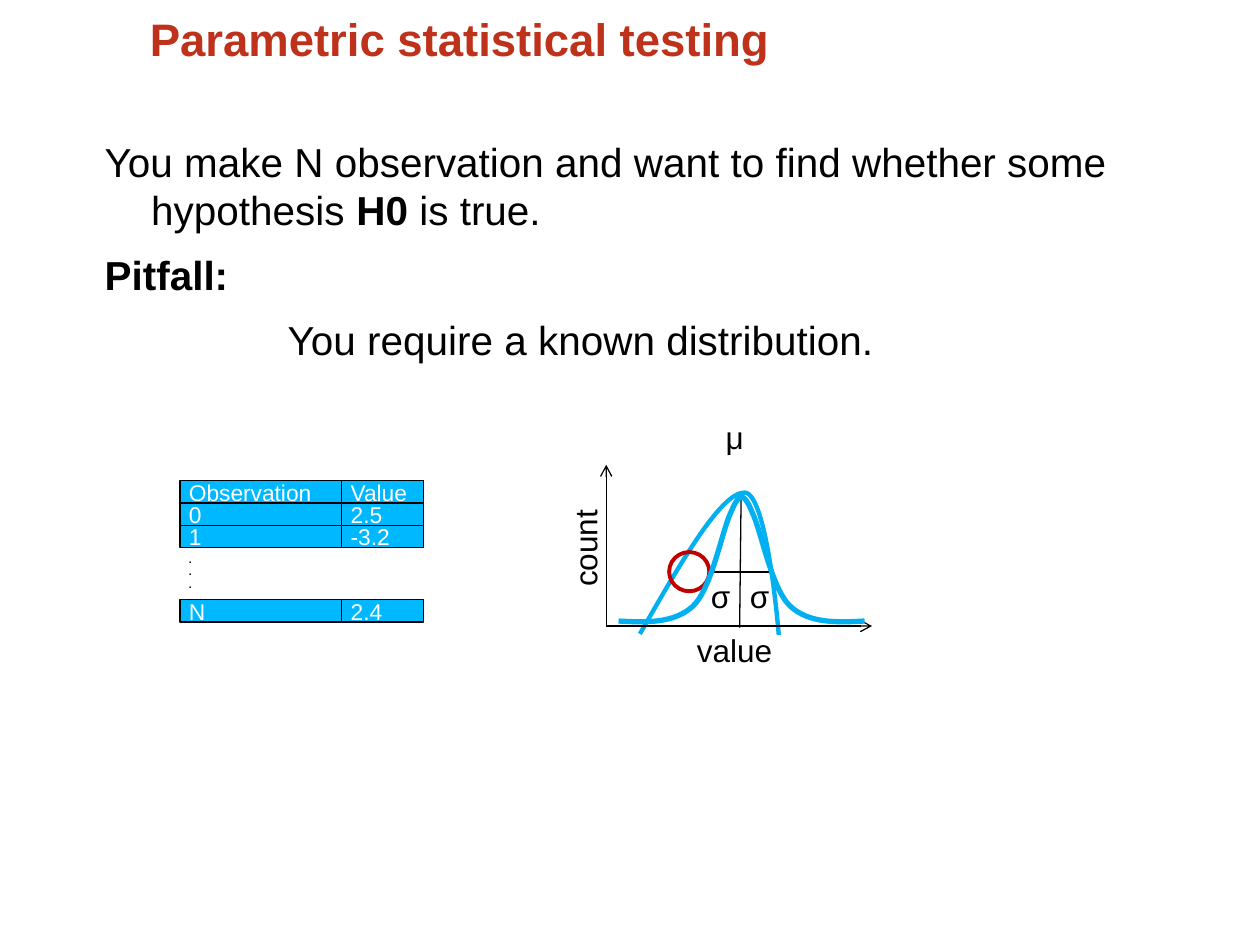
import pptx
import pptx.dml.color
import pptx.enum.shapes
import pptx.enum.text
import pptx.oxml
import pptx.oxml.ns
import pptx.util
from pptx.util import Cm

COLORS = {"title": "BE311A", "text": "000000", "cell": "00B8FF", "cell_text": "FFFFFF",
          "curve": "00B0F0", "circle": "C00000"}
FONT = "Arial"

TITLE = [[("Parametric statistical testing", True)]]
BODY = [
    [("You make N observation and want to find whether some hypothesis ", False),
     ("H0 ", True), ("is true.", False)],
    [("Pitfall:", True)],
    [("You require a known distribution.", False)],
]
BODY_INDENTS = [(0.94, -0.94), (0.94, -0.94), (3.69, 0)]

DOTS = [[(".", True)]] * 3
OBSERVATIONS = [("Observation", "Value"), ("0", "2.5"), ("1", "-3.2"), DOTS, ("N", "2.4")]
GRID_LEFT, GRID_TOP = 3.63, 9.69
COLUMN_WIDTHS = [3.26, 1.65]
ROW_HEIGHT, DOTS_HEIGHT = 0.45, 1.05

LABELS = [
    ("count", 10.78, 10.54, 2, 270),
    ("value", 13.87, 12.62, 1.88, 0),
    ("μ", 14.45, 8.33, 0.74, 0),
    ("σ", 14.94, 11.53, 0.76, 0),
    ("σ", 14.15, 11.53, 0.76, 0),
]
LABEL_HEIGHT = 0.94
MARGINS = (0.18, 0.1)
LINES = [
    ((12.22, 12.62), (17.58, 12.62), True),
    ((12.22, 12.62), (12.22, 9.37), True),
    ((14.94, 9.98), (14.91, 12.65), False),
    ((15.54, 11.53), (14.91, 11.53), False),
    ((14.94, 11.53), (14.3, 11.53), False),
]
SKEWED_CURVE = [(12.9, 12.78), (13.72, 11.35), (14.53, 9.93), (15.01, 9.93),
                (15.47, 9.93), (15.7, 12.8), (15.7, 12.8)]
BELL_LEFT = [(12.47, 12.52), (13.03, 12.55), (13.59, 12.57), (13.97, 12.22), (14.35, 11.86),
             (14.55, 10.72), (14.73, 10.34), (14.88, 9.98), (14.94, 10.01), (14.99, 10.03)]
BELL_AXIS = 14.95
BELL_RIGHT = [(round(2 * BELL_AXIS - x, 2), y) for x, y in BELL_LEFT]


def rgb(name):
    return pptx.dml.color.RGBColor.from_string(COLORS[name])


def apply_format(target, formats):
    for name, value in formats.items():
        setattr(target, name, value)


def set_frame(frame, margins, wrap):
    horizontal, vertical = map(Cm, margins)
    apply_format(frame, {"margin_left": horizontal, "margin_right": horizontal,
                         "margin_top": vertical, "margin_bottom": vertical, "word_wrap": wrap,
                         "vertical_anchor": pptx.enum.text.MSO_ANCHOR.TOP})


def write(frame, paragraphs, size, color, **paragraph_format):
    for index, runs in enumerate(paragraphs):
        paragraph = frame.paragraphs[0] if index == 0 else frame.add_paragraph()
        apply_format(paragraph, {"alignment": pptx.enum.text.PP_ALIGN.LEFT, **paragraph_format})
        for text, bold in runs:
            run = paragraph.add_run()
            run.text = text
            apply_format(run.font, {"name": FONT, "size": pptx.util.Pt(size), "bold": bold})
            run.font.color.rgb = rgb(color)


def add_text(slide, box, margins, wrap):
    shape = slide.shapes.add_textbox(*map(Cm, box))
    set_frame(shape.text_frame, margins, wrap)
    return shape


def add_label(slide, paragraphs, box, size, rotation=0):
    label = add_text(slide, box, MARGINS, False)
    label.rotation = rotation
    label.text_frame.auto_size = pptx.enum.text.MSO_AUTO_SIZE.SHAPE_TO_FIT_TEXT
    write(label.text_frame, paragraphs, size, "text")


def set_line(shape, color, width):
    shape.line.color.rgb = rgb(color)
    shape.line.width = pptx.util.Pt(width)


def add_curve(shapes, points, width):
    start, *others = [(Cm(x), Cm(y)) for x, y in points]
    builder = shapes.build_freeform(*start)
    builder.add_line_segments(others, close=False)
    curve = builder.convert_to_shape()
    segments = list(curve._element.iter(pptx.oxml.ns.qn("a:lnTo")))
    for first, second, third in zip(segments[::3], segments[1::3], segments[2::3]):
        bezier = first.makeelement(pptx.oxml.ns.qn("a:cubicBezTo"))
        first.addprevious(bezier)
        for segment in (first, second, third):
            bezier.append(segment[0])
            segment.getparent().remove(segment)
    curve.shadow.inherit = False
    curve.fill.background()
    set_line(curve, "curve", width)


def add_line(slide, start, end, arrow):
    line = slide.shapes.add_connector(pptx.enum.shapes.MSO_CONNECTOR.STRAIGHT,
                                      *map(Cm, start + end))
    set_line(line, "text", 0.75)
    if arrow:
        line.line._get_or_add_ln().append(pptx.oxml.parse_xml(
            f'<a:tailEnd {pptx.oxml.ns.nsdecls("a")} type="arrow"/>'))
    line._element.spPr.append(pptx.oxml.parse_xml(
        f'<a:effectLst {pptx.oxml.ns.nsdecls("a")}/>'))


def add_shape(slide, kind, box, line_color, line_width):
    shape = slide.shapes.add_shape(kind, *map(Cm, box))
    shape.shadow.inherit = False
    set_line(shape, line_color, line_width)
    return shape


def add_observations(slide):
    top = GRID_TOP
    for row in OBSERVATIONS:
        if row is DOTS:
            add_label(slide, DOTS, (GRID_LEFT, top, 0.41, LABEL_HEIGHT), 6)
            top += DOTS_HEIGHT
            continue
        left = GRID_LEFT
        for value, width in zip(row, COLUMN_WIDTHS):
            cell = add_shape(slide, pptx.enum.shapes.MSO_SHAPE.RECTANGLE,
                             (left, top, width, ROW_HEIGHT), "text", 0.75)
            cell.fill.solid()
            cell.fill.fore_color.rgb = rgb("cell")
            set_frame(cell.text_frame, MARGINS, True)
            write(cell.text_frame, [[(value, False)]], 13, "cell_text", line_spacing=0.72)
            left += width
        top += ROW_HEIGHT


def main():
    presentation = pptx.Presentation()
    apply_format(presentation, {"slide_width": Cm(25.4), "slide_height": Cm(19.05)})
    slide = presentation.slides.add_slide(presentation.slide_layouts[6])

    body = add_text(slide, (2.11, 2.76, 21.13, 12.57), (0, 0), True)
    write(body.text_frame, BODY, 23.1, "text", space_after=pptx.util.Pt(9.4))
    for paragraph, (margin, indent) in zip(body.text_frame.paragraphs, BODY_INDENTS):
        properties = paragraph._p.get_or_add_pPr()
        properties.set("marL", str(Cm(margin)))
        properties.set("indent", str(Cm(indent)))

    add_curve(slide.shapes, SKEWED_CURVE, 2.5)
    title = add_text(slide, (3.02, 0.33, 17.55, 1.6), (0, 0), True)
    write(title.text_frame, TITLE, 26, "title", line_spacing=0.92)
    add_observations(slide)

    circle = add_shape(slide, pptx.enum.shapes.MSO_SHAPE.OVAL,
                       (13.49, 11.13, 0.81, 0.79), "circle", 2.25)
    circle.fill.background()

    for start, end, arrow in LINES:
        add_line(slide, start, end, arrow)
    bell = slide.shapes.add_group_shape()
    for points in (BELL_LEFT, BELL_RIGHT):
        add_curve(bell.shapes, points, 3)
    for text, left, top, width, rotation in LABELS:
        add_label(slide, [[(text, False)]], (left, top, width, LABEL_HEIGHT), 18, rotation)

    presentation.save("out.pptx")


if __name__ == "__main__":
    main()
